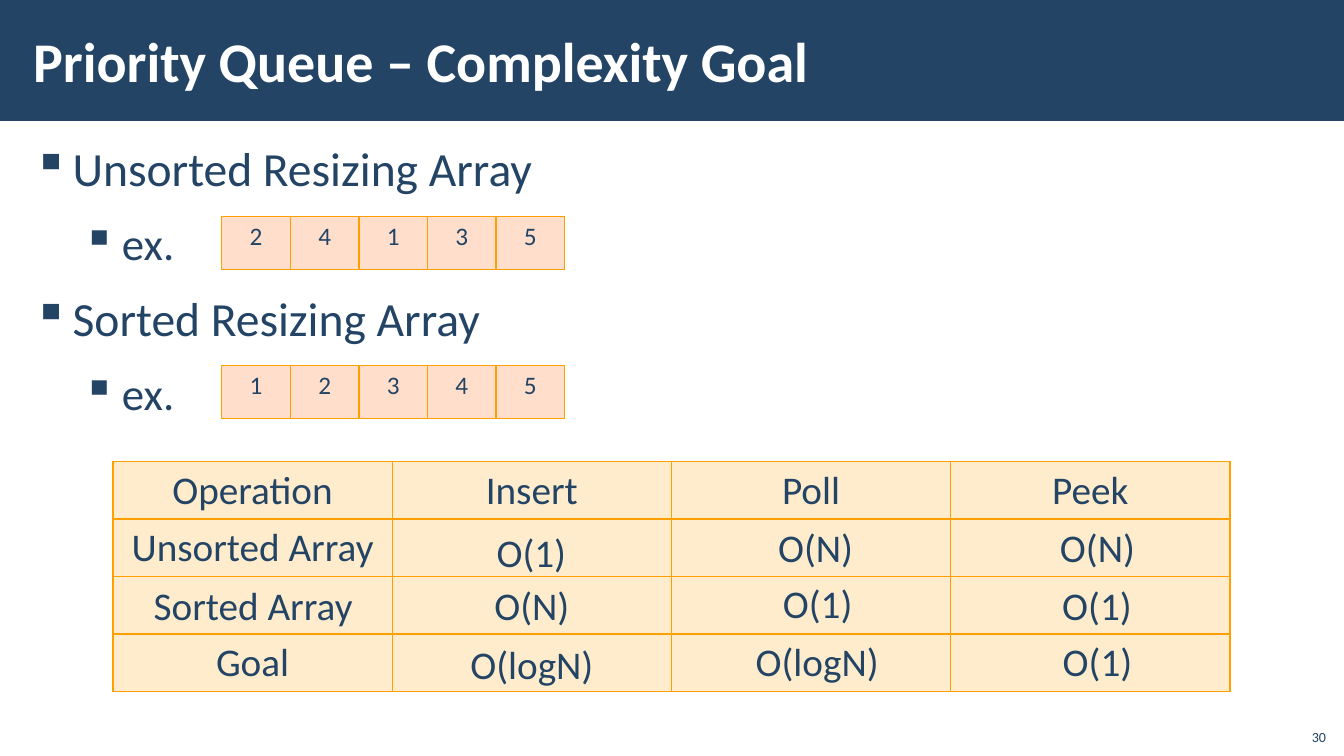
from lxml.etree import SubElement as Sub
from pptx import Presentation
from pptx.dml.color import RGBColor as Rgb
from pptx.enum.shapes import MSO_SHAPE as Form
from pptx.enum.text import MSO_ANCHOR as Anchor, PP_ALIGN as Align
from pptx.oxml.ns import qn
from pptx.util import Pt

SCALE = 9144  # EMU in one px, 100 px to the inch
NAVY, WHITE, GOLD = "234465", "FFFFFF", "FFA000"
CREAM, PEACH = "FFECCC", "FFDFCC"


def px(num):
    return num * SCALE


def tint(code):
    return Rgb.from_string(code)


class Deck:
    face = "Calibri"

    def __init__(self, wide, high):
        self.prs = Presentation()
        self.prs.slide_width, self.prs.slide_height = px(wide), px(high)
        self.slide = self.prs.slides.add_slide(self.prs.slide_layouts[6])
        self.shapes = self.slide.shapes

    def style(self, para, size, color=NAVY, bold=False, align=Align.LEFT):
        para.alignment = align
        font = para.font
        font.name, font.size, font.bold = self.face, Pt(size), bold
        font.color.rgb = tint(color)

    def band(self, box, color):
        rect = self.shapes.add_shape(Form.RECTANGLE, *map(px, box))
        rect.shadow.inherit = False
        rect.fill.solid()
        rect.fill.fore_color.rgb = tint(color)
        rect.line.fill.background()

    def frame(self, box, anchor=Anchor.TOP, side=10, edge=5):
        frame = self.shapes.add_textbox(*map(px, box)).text_frame
        frame.word_wrap = True
        frame.vertical_anchor = anchor
        frame.margin_left = frame.margin_right = px(side)
        frame.margin_top = frame.margin_bottom = px(edge)
        return frame

    def text(self, box, words, size, anchor=Anchor.TOP, side=10, edge=5, **look):
        para = self.frame(box, anchor, side, edge).paragraphs[0]
        para.text = words
        self.style(para, size, **look)

    def list(self, box, items):
        frame = self.frame(box, side=12, edge=4)
        for i, (level, words) in enumerate(items):
            para = frame.add_paragraph() if i else frame.paragraphs[0]
            para.text, para.level = words, level
            para.line_spacing = 1.05
            para.space_before = Pt(6 if i else 0)
            para.space_after = Pt(6)
            props = para._p.get_or_add_pPr()
            props.set("marL", str(px(39 + 49 * level)))
            props.set("indent", str(px(-39)))
            Sub(props, qn("a:buChar"), char="▪")
            self.style(para, 34 - 2 * level)

    def edge(self, cell):
        props = cell._tc.get_or_add_tcPr()
        for i, side in enumerate("LRTB"):
            line = props.makeelement(qn("a:ln" + side), {"w": str(Pt(1))})
            fill = Sub(line, qn("a:solidFill"))
            Sub(fill, qn("a:srgbClr"), val=GOLD)
            props.insert(i, line)

    def table(self, left, top, wide, high, rows, size, color):
        count = len(rows[0])
        area = map(px, (left, top, wide * count, high * len(rows)))
        table = self.shapes.add_table(len(rows), count, *area).table
        table.first_row = table.horz_banding = False
        for col in table.columns:
            col.width = px(wide)
        for row, words in zip(table.rows, rows):
            row.height = px(high)
            for cell, word in zip(row.cells, words):
                cell.fill.solid()
                cell.fill.fore_color.rgb = tint(color)
                self.edge(cell)
                para = cell.text_frame.paragraphs[0]
                para.text = word
                self.style(para, size, align=Align.CENTER)


def main():
    deck = Deck(1333, 750)

    # Header, bullets and page number
    deck.band((0, 0, 1333, 120), NAVY)
    deck.list((21, 131, 1292, 605), [
        (0, "Unsorted Resizing Array"), (1, "ex."),
        (0, "Sorted Resizing Array"), (1, "ex."),
    ])
    deck.text((21, 11, 1063, 97), "Priority Queue – Complexity Goal", 40,
              Anchor.MIDDLE, 12, 4, color=WHITE, bold=True)
    deck.text((1285, 712, 40, 32), "30", 10, Anchor.BOTTOM, align=Align.RIGHT)

    # Complexity grid
    blank = [""] * 3
    deck.table(112, 458, 277, 57, [
        ["Operation", "Insert", "Poll", "Peek"],
        ["Unsorted Array", *blank],
        ["", *blank],
        ["Goal", *blank],
    ], 28, CREAM)

    # Labels laid over the grid: left, top, width, words
    for left, top, wide, words in [
        (112, 572, 278, "Sorted Array"),
        (482, 519, 90, "O(1)"), (752, 514, 114, "O(N)"), (1027, 514, 123, "O(N)"),
        (463, 572, 129, "O(N)"), (766, 570, 90, "O(1)"), (1043, 572, 90, "O(1)"),
        (447, 630, 161, "O(logN)"), (721, 627, 179, "O(logN)"),
        (1010, 627, 157, "O(1)"),
    ]:
        deck.text((left, top, wide, 57), words, 28, align=Align.CENTER)

    # Sample arrays
    for top, digits in (215, "24135"), (363, "12345"):
        deck.table(220, top, 68, 52, [digits], 18, PEACH)

    deck.prs.save("out.pptx")


if __name__ == "__main__":
    main()
